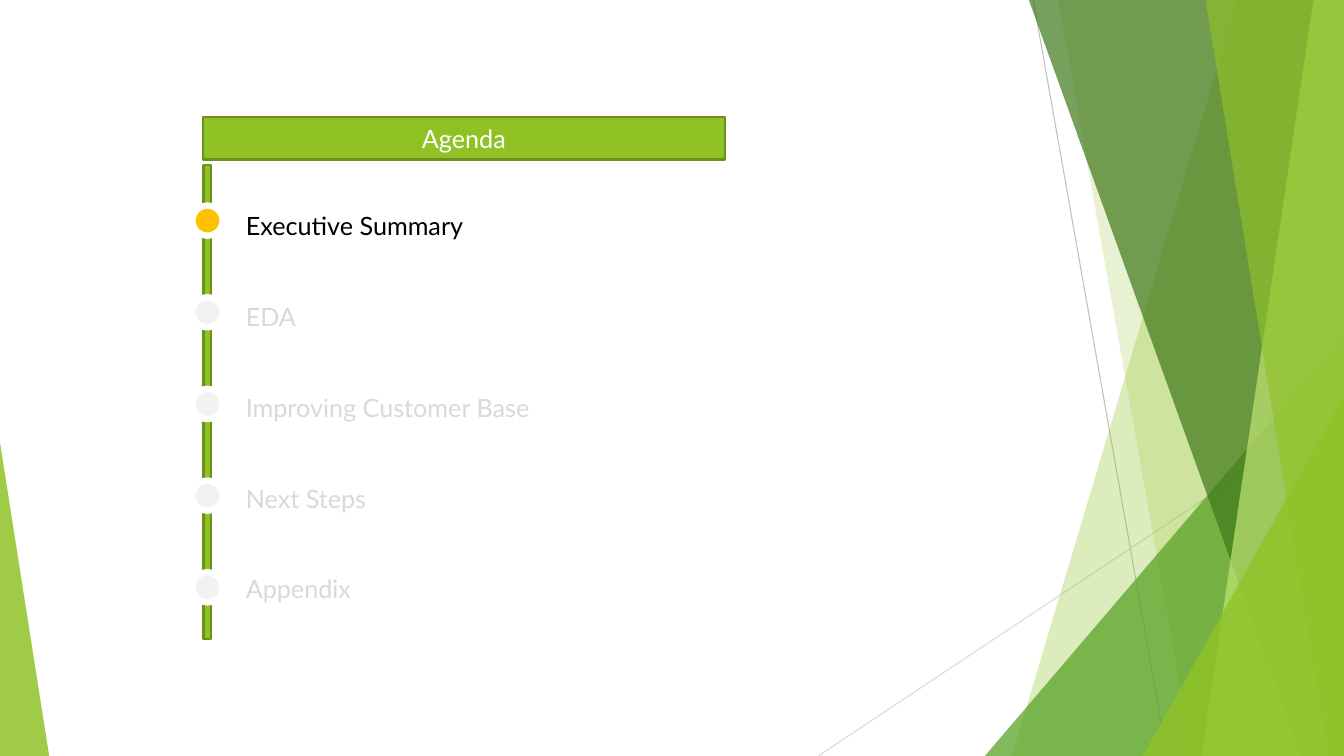
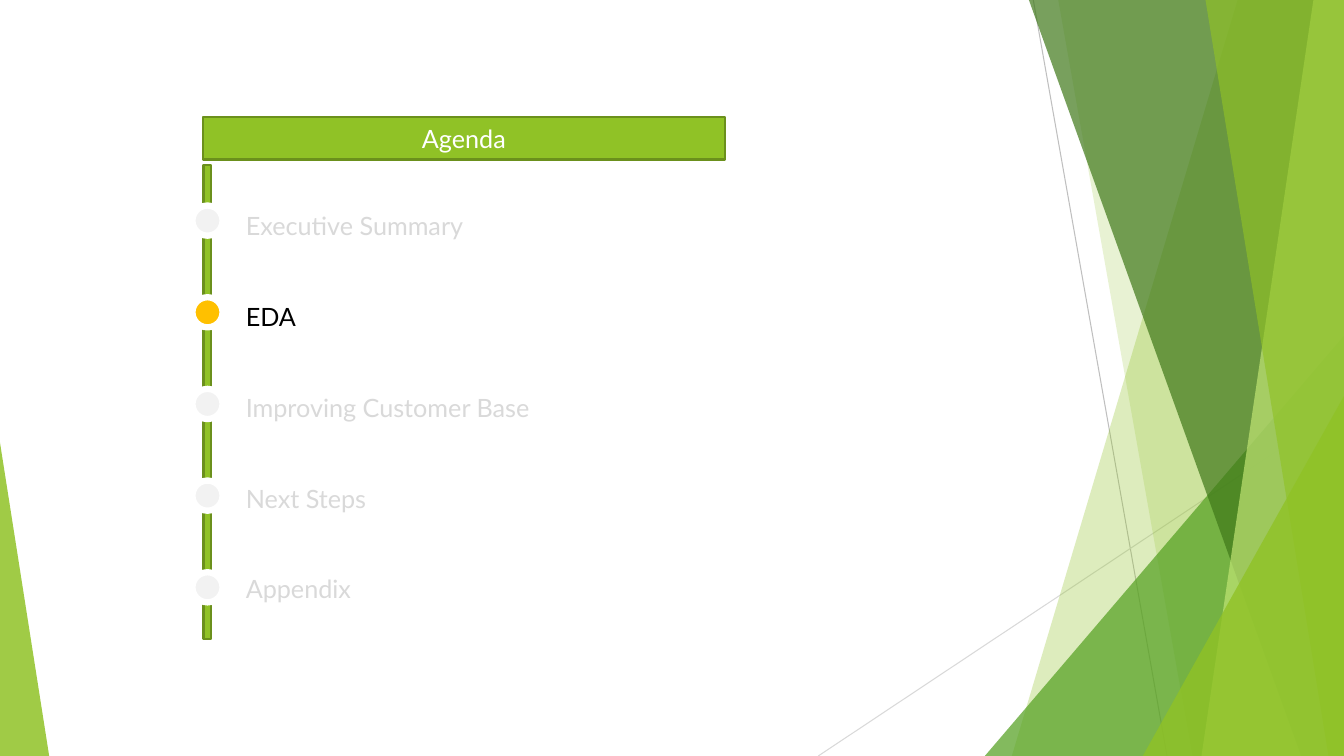
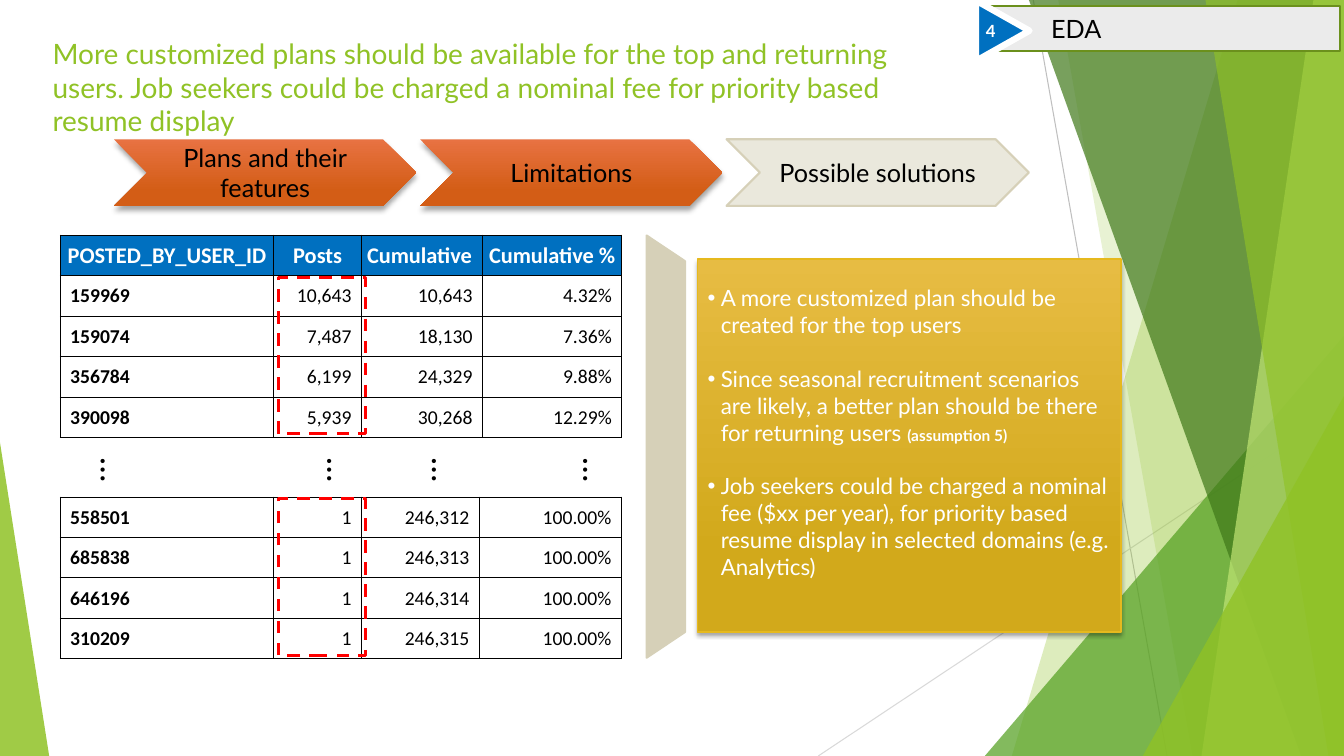
import pptx
import pptx.dml.color
import pptx.enum.dml
import pptx.enum.shapes
import pptx.enum.text
import pptx.oxml.ns
import pptx.util
from lxml import etree

Cm, Pt = pptx.util.Cm, pptx.util.Pt
qn = pptx.oxml.ns.qn
rgb = pptx.dml.color.RGBColor.from_string
PRESET = pptx.enum.shapes.MSO_SHAPE
ALIGN = pptx.enum.text.PP_ALIGN
ANCHOR = pptx.enum.text.MSO_ANCHOR
NO_FIT = pptx.enum.text.MSO_AUTO_SIZE.NONE

GREEN, DARK_GREEN, SAND, BLUE = "90C226", "6B901C", "D6D0B8", "0070C0"
WHITE, BLACK = "FFFFFF", "000000"
WIDTH, HEIGHT = 33.87, 19.05
LATO_18 = {"name": "Lato", "size": Pt(18)}
CENTRED = {"alignment": ALIGN.CENTER}
MIDDLE = {"vertical_anchor": ANCHOR.MIDDLE}


def paint(shape, fill=None, line=None, width=1.5, alpha=None, shadow=None):
    """Fill with a colour or a pair of gradient colours; shadow is (blur, distance) in points."""
    shape.shadow.inherit = False
    if fill is None:
        shape.fill.background()
    elif isinstance(fill, tuple):
        shape.fill.gradient()
        shape.fill.gradient_angle = 270
        for stop, position, color in zip(shape.fill.gradient_stops, (0, 0.78), fill):
            stop.position = position
            stop.color.rgb = rgb(color)
    else:
        shape.fill.solid()
        shape.fill.fore_color.rgb = rgb(fill)
    if alpha:
        color_element = shape.element.find(".//" + qn("a:srgbClr"))
        etree.SubElement(color_element, qn("a:alpha"), val=str(alpha * 1000))
    if line:
        shape.line.color.rgb = rgb(line)
        shape.line.width = Pt(width)
    else:
        shape.line.fill.background()
    if shadow:
        blur, distance = shadow
        outer = etree.SubElement(
            shape.element.spPr.find(qn("a:effectLst")), qn("a:outerShdw"),
            blurRad=str(Pt(blur)), dist=str(Pt(distance)), dir="5400000", rotWithShape="0")
        shadow_color = etree.SubElement(outer, qn("a:srgbClr"), val=BLACK)
        etree.SubElement(shadow_color, qn("a:alpha"), val="35000")


def write(frame, text, color, font, paragraph_format=None, frame_format=None):
    """Set the text, one paragraph a line, and apply the format values."""
    frame.word_wrap = True
    frame.text = text
    for name, value in (frame_format or {}).items():
        setattr(frame, name, value)
    for paragraph in frame.paragraphs:
        for name, value in (paragraph_format or {}).items():
            setattr(paragraph, name, value)
        for run in paragraph.runs:
            run.font.color.rgb = rgb(color)
            for name, value in font.items():
                setattr(run.font, name, value)


presentation = pptx.Presentation()
presentation.slide_width, presentation.slide_height = Cm(WIDTH), Cm(HEIGHT)
layout = presentation.slide_layouts.get_by_name("Title and Content")
slides = [presentation.slides.add_slide(layout) for number in range(3)]

# Background facets: drawn once, then moved to the slide master
canvas = slides[0].shapes
for start_x, start_y, end_x, end_y, color in (
        (26.04, 0, 29.41, HEIGHT, "BFBFBF"), (WIDTH, 10.24, 20.62, HEIGHT, "D9D9D9")):
    connector = canvas.add_connector(
        pptx.enum.shapes.MSO_CONNECTOR.STRAIGHT,
        Cm(start_x), Cm(start_y), Cm(end_x), Cm(end_y))
    connector.line.color.rgb = rgb(color)
    connector.line.width = Pt(0.75)
    etree.SubElement(connector.element.spPr, qn("a:effectLst"))

# A band has its upper and lower left x; a triangle has left, top, width and peak
for geometry, color, alpha in (
        ((31.19, 25.5), GREEN, 30),
        ((26.67, 30.05), GREEN, 20),
        ((24.82, 8.46, 9.05, 1), "54A021", 72),
        ((25.93, 32.79), "3F7819", 70),
        ((33.1, 30.28), "C0E474", 70),
        ((30.38, 33.48), GREEN, 65),
        ((28.8, 9.98, 5.07, 1), GREEN, 80),
        ((0, 11.15, 1.24, 0), GREEN, 85)):
    if len(geometry) == 2:
        upper_x, lower_x = geometry
        builder = canvas.build_freeform(Cm(upper_x), 0)
        builder.add_line_segments([
            (Cm(WIDTH), 0), (Cm(WIDTH), Cm(HEIGHT)), (Cm(lower_x), Cm(HEIGHT))])
        facet = builder.convert_to_shape()
    else:
        left, top, width, peak = geometry
        facet = canvas.add_shape(
            PRESET.ISOSCELES_TRIANGLE, Cm(left), Cm(top), Cm(width), Cm(HEIGHT - top))
        facet.adjustments[0] = peak
    paint(facet, color, alpha=alpha)

for identifier, shape in enumerate(list(canvas)[2:], start=20):
    shape.element.find(".//" + qn("p:cNvPr")).set("id", str(identifier))
    presentation.slide_master.shapes.element.append(shape.element)

# Agenda slides, each with its own current topic
topics = ["Executive Summary", "EDA", "Improving Customer Base", "Next Steps", "Appendix"]
for current, slide in enumerate(slides[:2]):
    title, topic_list = slide.placeholders
    title.left, title.top, title.width, title.height = Cm(5.11), Cm(2.95), Cm(13.16), Cm(1.07)
    outline = etree.SubElement(title.element.spPr, qn("a:prstGeom"), prst="roundRect")
    guides = etree.SubElement(outline, qn("a:avLst"))
    etree.SubElement(guides, qn("a:gd"), name="adj", fmla="val 4500")
    paint(title, GREEN, DARK_GREEN)
    write(title.text_frame, "Agenda", WHITE, LATO_18, CENTRED, {**MIDDLE, "auto_size": NO_FIT})

    topic_list.left, topic_list.top = Cm(5.94), Cm(4.8)
    topic_list.width, topic_list.height = Cm(12.85), Cm(10.64)
    write(topic_list.text_frame, "\n".join(topics), "D9D9D9", LATO_18,
          {"line_spacing": 1.5, "space_before": Pt(0), "space_after": Pt(32.4)},
          {"auto_size": NO_FIT, "vertical_anchor": ANCHOR.TOP})
    for properties in topic_list.element.iter(qn("a:pPr")):
        properties.set("marL", "0")
        properties.set("indent", "0")
        etree.SubElement(properties, qn("a:buNone"))
    topic_list.text_frame.paragraphs[current].runs[0].font.color.rgb = rgb(BLACK)

    timeline = slide.shapes.add_shape(PRESET.RECTANGLE, Cm(5.13), Cm(4.17), Cm(0.2), Cm(11.94))
    paint(timeline, GREEN, DARK_GREEN)
    for index in range(len(topics)):
        dot = slide.shapes.add_shape(
            PRESET.OVAL, Cm(4.85), Cm(5.18 + 2.31 * index), Cm(0.76), Cm(0.76))
        paint(dot, "FFC000" if index == current else "F2F2F2", WHITE, 4.5)

# Plans slide: title and recommendations
slide = slides[2]
shapes = slide.shapes
title, advice = slide.placeholders
title.left, title.top, title.width, title.height = Cm(1.07), Cm(0.79), Cm(23.29), Cm(2.57)
write(title.text_frame,
      "More customized plans should be available for the top and returning users. "
      "Job seekers could be charged a nominal fee for priority based resume display",
      GREEN, {"name": "Lato", "size": Pt(20)}, {"alignment": ALIGN.LEFT},
      {"vertical_anchor": ANCHOR.TOP, "auto_size": NO_FIT})

advice.left, advice.top, advice.width, advice.height = Cm(17.58), Cm(6.53), Cm(10.67), Cm(9.4)
paint(advice, ("E7BC43", "D2A91B"), "E6B91E", 1, shadow=(3, 2))
write(advice.text_frame,
      "A more customized plan should be created for the top users\n"
      "Since seasonal recruitment scenarios are likely, a better plan should be there "
      "for returning users \n"
      "Job seekers could be charged a nominal fee ($xx per year), for priority based "
      "resume display in selected domains (e.g. Analytics)",
      WHITE, {"name": "Lato", "size": Pt(16)},
      {"space_before": Pt(0), "space_after": Pt(19.2)},
      {"auto_size": NO_FIT, "vertical_anchor": ANCHOR.TOP, "margin_top": Cm(0.64)})
for properties in advice.element.iter(qn("a:pPr")):
    properties.set("marL", str(Cm(0.33)))
    properties.set("indent", str(Cm(-0.33)))
assumption = advice.text_frame.paragraphs[1].add_run()
assumption.text = "(assumption 5)"
assumption.font.color.rgb = rgb(WHITE)
for name, value in {"name": "Lato", "size": Pt(11), "bold": True}.items():
    setattr(assumption.font, name, value)

# Section tag
tag = shapes.add_shape(PRESET.RECTANGLE, Cm(24.97), Cm(0.15), Cm(8.79), Cm(1.14))
paint(tag, "EBEBEB", DARK_GREEN)
write(tag.text_frame, "EDA", BLACK, LATO_18, {"alignment": ALIGN.LEFT},
      {**MIDDLE, "margin_left": Cm(1.52)})
pointer = shapes.add_shape(PRESET.ISOSCELES_TRIANGLE, Cm(24.51), Cm(0.1), Cm(1.52), Cm(1.35))
pointer.rotation = 90
paint(pointer, BLUE, WHITE, 4.5)
write(pointer.text_frame, "4", WHITE, {"name": "Lato", "size": Pt(12), "bold": True},
      CENTRED, MIDDLE)
pointer.element.find(".//" + qn("a:bodyPr")).set("vert", "vert270")

# Steps
orange = {"fill": ("E87242", "D35D16"), "shadow": (4, 3)}
steps = [("Plans and their features", orange), ("Limitations", orange),
         ("Possible solutions", {"fill": "EAE8DC", "line": SAND})]
for index, (label, look) in enumerate(steps):
    step = shapes.add_shape(
        PRESET.CHEVRON, Cm(2.87 + 7.72 * index), Cm(3.51), Cm(7.62), Cm(1.68))
    paint(step, **look)
    write(step.text_frame, label, BLACK, LATO_18, CENTRED, MIDDLE)

# Tables of the most and least active users
header = ("POSTED_BY_USER_ID", "Posts", "Cumulative ", "Cumulative %")
top_users = [
    header,
    ("159969", "10,643", "10,643", "4.32%"),
    ("159074", "7,487", "18,130", "7.36%"),
    ("356784", "6,199", "24,329", "9.88%"),
    ("390098", "5,939", "30,268", "12.29%")]
last_users = [
    ("558501", "1", "246,312", "100.00%"),
    ("685838", "1", "246,313", "100.00%"),
    ("646196", "1", "246,314", "100.00%"),
    ("310209", "1", "246,315", "100.00%")]
for top, widths, rows in ((5.92, (5.38, 2.21, 3.05, 3.51), top_users),
                          (12.52, (5.38, 2.21, 2.97, 3.58), last_users)):
    frame = shapes.add_table(len(rows), len(widths), Cm(1.52), Cm(top),
                             Cm(sum(widths)), Cm(1.02 * len(rows)))
    table = frame.table
    table.first_row = table.horz_banding = False
    for column, width in zip(table.columns, widths):
        column.width = Cm(width)
    for row_index, row in enumerate(rows):
        table.rows[row_index].height = Cm(1.02)
        for column_index, value in enumerate(row):
            cell = table.cell(row_index, column_index)
            is_header, is_user = row is header, column_index == 0
            cell_format = {
                "vertical_anchor": ANCHOR.MIDDLE, "margin_top": Cm(0.03), "margin_bottom": 0,
                "margin_left": Cm(0.25 if is_user and not is_header else 0.03),
                "margin_right": Cm(0.03 if is_user or is_header else 0.25)}
            for name, setting in cell_format.items():
                setattr(cell, name, setting)
            if is_header:
                cell.fill.solid()
                cell.fill.fore_color.rgb = rgb(BLUE)
                alignment = ALIGN.CENTER
            else:
                cell.fill.background()
                alignment = ALIGN.LEFT if is_user else ALIGN.RIGHT
            write(cell.text_frame, value, WHITE if is_header else BLACK,
                  {"name": "Calibri", "size": Pt(16 if is_header else 14),
                   "bold": is_header or is_user}, {"alignment": alignment})
    for properties in frame.element.iter(qn("a:tcPr")):
        for position, side in enumerate(("a:lnL", "a:lnR", "a:lnT", "a:lnB")):
            border = etree.Element(qn(side), w=str(Pt(0.5)))
            border_fill = etree.SubElement(border, qn("a:solidFill"))
            etree.SubElement(border_fill, qn("a:srgbClr"), val=BLACK)
            properties.insert(position, border)

# Marks for the rows left out between the tables
for left in (2.39, 8.1, 10.74, 14.55):
    ellipsis = shapes.add_textbox(Cm(left), Cm(11.13), Cm(0.97), Cm(1.27))
    ellipsis.rotation = 90
    write(ellipsis.text_frame, "…", BLACK, {"name": "Lato", "size": Pt(24)})

funnel = shapes.add_shape(PRESET.TRAPEZOID, Cm(11.46), Cm(10.77), Cm(10.64), Cm(0.97))
funnel.adjustments[0] = 0.67
funnel.rotation = 90
paint(funnel, SAND, SAND)

for top in (6.99, 12.57):
    highlight = shapes.add_shape(PRESET.RECTANGLE, Cm(7.01), Cm(top), Cm(2.21), Cm(3.94))
    paint(highlight, line="FF0000", width=2.25)
    highlight.line.dash_style = pptx.enum.dml.MSO_LINE.DASH

presentation.save("out.pptx")
